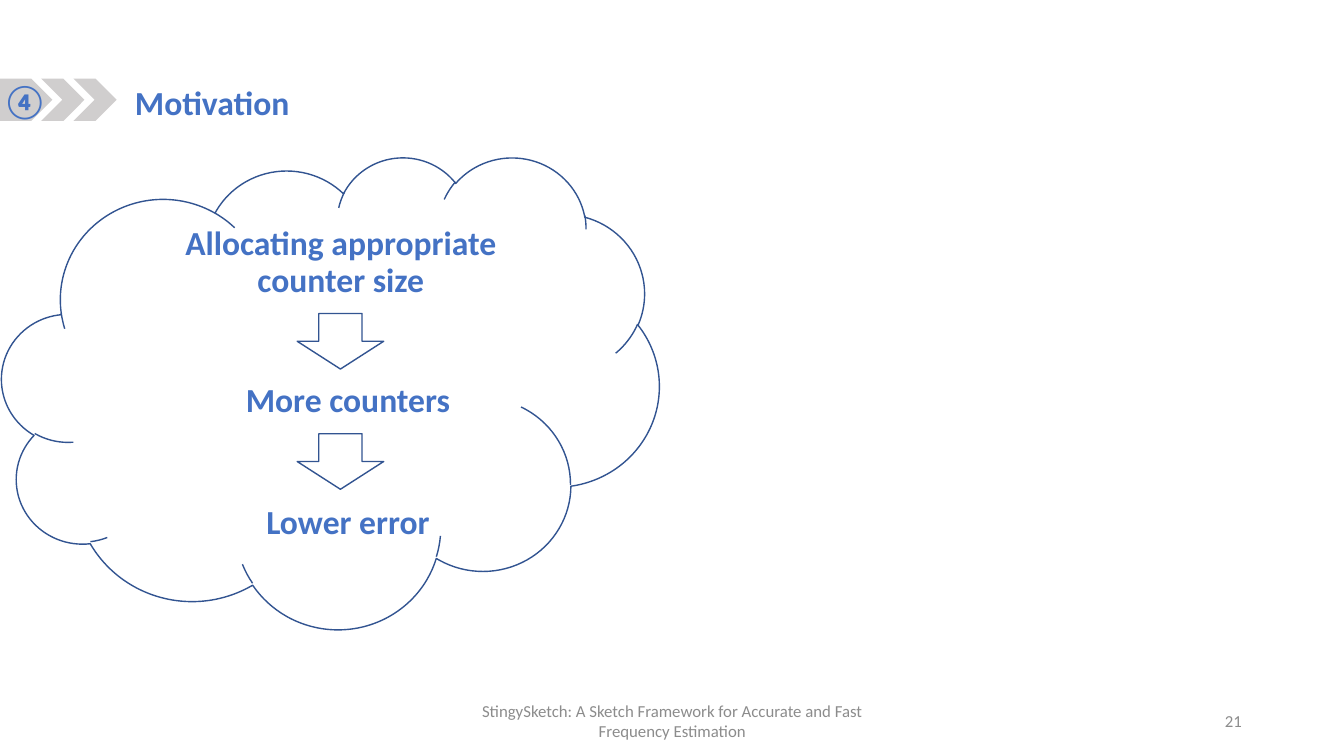
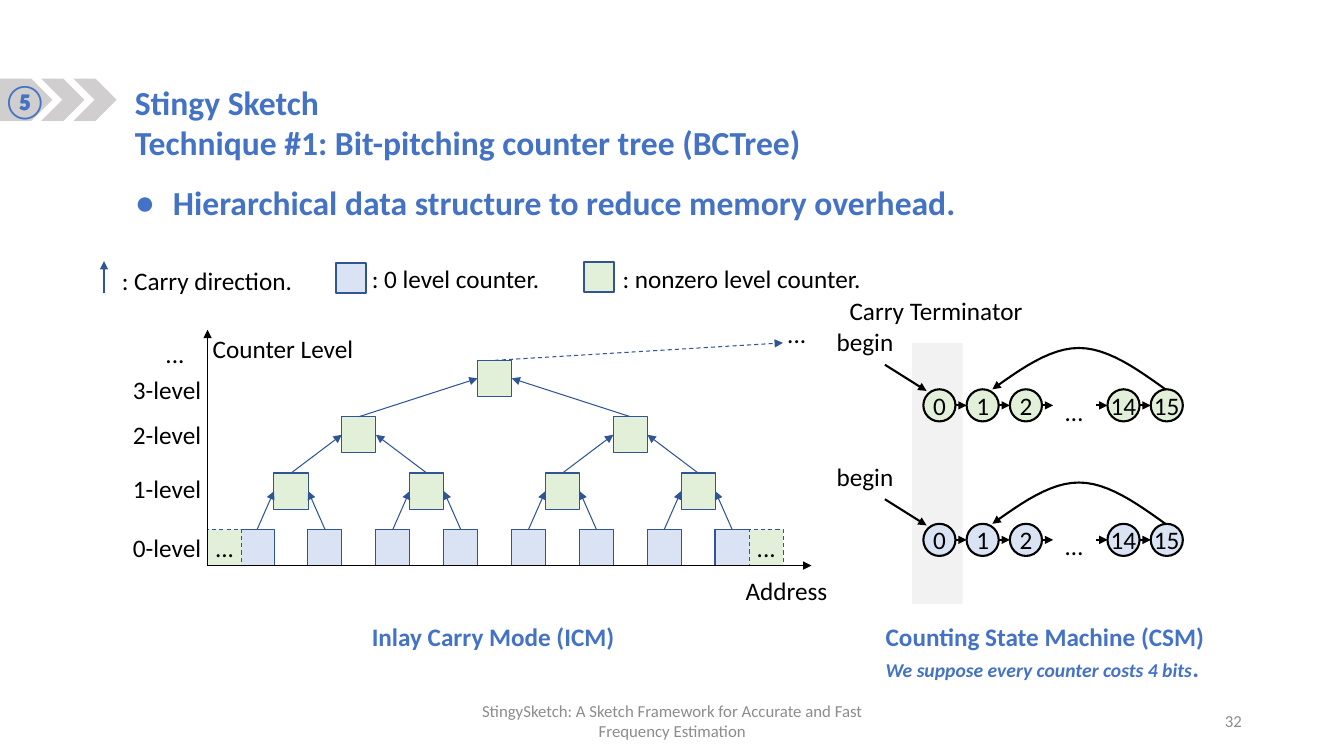
from dataclasses import dataclass, replace
from lxml import etree
from pptx import Presentation
from pptx.dml.color import RGBColor
from pptx.enum.dml import MSO_LINE
from pptx.enum.shapes import MSO_CONNECTOR, MSO_SHAPE
from pptx.enum.text import MSO_ANCHOR, PP_ALIGN
from pptx.oxml.ns import qn
from pptx.util import Cm, Pt


@dataclass(frozen=True)
class Style:
    size: float
    color: str
    bold: bool = False
    italic: bool = False


@dataclass(frozen=True)
class Theme:
    font: str = "Calibri"
    white: str = "FFFFFF"
    black: str = "000000"
    chevron: str = "D0CECE"
    band: str = "F2F2F2"
    outline: str = "325491"
    branch: str = "2F5597"
    leaf: str = "DAE3F3"
    node: str = "E2F0D9"
    heading: Style = Style(24, "4472C4", True)
    caption: Style = Style(18, "4472C4", True)
    remark: Style = Style(14, "4472C4", True, True)
    label: Style = Style(18, "000000")
    footer: Style = Style(12, "8C8C8C")


@dataclass(frozen=True)
class Box:
    x: float
    y: float
    w: float
    h: float

    def at(self, dx, dy, w, h):
        return Box(self.x + dx, self.y + dy, w, h)

    def lengths(self):
        return Cm(self.x), Cm(self.y), Cm(self.w), Cm(self.h)


T = Theme()
LEFT, CENTER, RIGHT = PP_ALIGN.LEFT, PP_ALIGN.CENTER, PP_ALIGN.RIGHT
LINE_H = 1.02
FOOTER_TEXT = "StingySketch: A Sketch Framework for Accurate and Fast Frequency Estimation"


# Drawing helpers
def add_run(paragraph, words, style):
    run = paragraph.add_run()
    run.text = words
    font = run.font
    font.name, font.size = T.font, Pt(style.size)
    font.bold, font.italic = style.bold, style.italic
    font.color.rgb = RGBColor.from_string(style.color)


def add_text(slide, box, *lines, style=T.label, align=LEFT, anchor=MSO_ANCHOR.TOP):
    frame = slide.shapes.add_textbox(*box.lengths()).text_frame
    frame.word_wrap = True
    frame.vertical_anchor = anchor
    for index, words in enumerate(lines):
        paragraph = frame.add_paragraph() if index else frame.paragraphs[0]
        paragraph.alignment = align
        add_run(paragraph, words, style)
    return frame


def style_line(line, color, width, dashed=False, arrow=False):
    line.color.rgb = RGBColor.from_string(color)
    line.width = Pt(width)
    if dashed:
        line.dash_style = MSO_LINE.DASH
    if arrow:
        ln = line.fill._xPr
        etree.SubElement(ln, qn("a:tailEnd"), type="triangle")


def add_shape(slide, kind, box, fill, line=None, width=1, dashed=False, words=None):
    shape = slide.shapes.add_shape(kind, *box.lengths())
    shape.shadow.inherit = False
    shape.fill.solid()
    shape.fill.fore_color.rgb = RGBColor.from_string(fill)
    if line:
        style_line(shape.line, line, width, dashed)
    else:
        shape.line.fill.background()
    if words:
        frame = shape.text_frame
        frame.margin_left = frame.margin_right = frame.margin_top = frame.margin_bottom = 0
        frame.word_wrap = False
        frame.vertical_anchor = MSO_ANCHOR.MIDDLE
        frame.paragraphs[0].alignment = CENTER
        add_run(frame.paragraphs[0], words, T.label)
    return shape


def add_arrow(slide, start, end, color, width, dashed=False):
    ends = [Cm(value) for value in (*start, *end)]
    arrow = slide.shapes.add_connector(MSO_CONNECTOR.STRAIGHT, *ends)
    style_line(arrow.line, color, width, dashed, arrow=True)
    etree.SubElement(arrow._element.spPr, qn("a:effectLst"))


def add_arc_arrow(slide, start, end, rise, steps=12):
    """Two mirrored cubic curves that meet level at the apex."""
    (x0, y0), (x1, y1) = start, end
    span = x1 - x0

    def half(t):
        along = 3 * t * (1 - t) ** 2 / 6 + 3 * t * t * (1 - t) / 3 + t ** 3 / 2
        up = 3 * t * (1 - t) ** 2 / 2 + 3 * t * t * (1 - t) + t ** 3
        return along, up

    first = [half(i / steps) for i in range(steps + 1)]
    second = [(1 - along, up) for along, up in reversed(first[:-1])]
    points = [(Cm(x0 + span * a), Cm(y0 + (y1 - y0) * a - rise * up)) for a, up in first + second]
    builder = slide.shapes.build_freeform(*points[0])
    builder.add_line_segments(points[1:], close=False)
    arc = builder.convert_to_shape()
    arc.shadow.inherit = False
    arc.fill.background()
    style_line(arc.line, T.black, 1.5, arrow=True)


# Parts shared by the slides
def add_header(slide, box, number, *title):
    add_shape(slide, MSO_SHAPE.PENTAGON, box.at(0, 0, 1.32, box.h), T.chevron)
    for dx in (1.04, 1.85):
        add_shape(slide, MSO_SHAPE.CHEVRON, box.at(dx, 0, 1.09, box.h), T.chevron)
    add_text(slide, box.at(3.15, -0.05, box.w - 3.15, 1.27), *title, style=T.heading)
    add_text(slide, box.at(-0.18, -0.08, 1.5, 1.27), number, style=T.heading)


def add_footer(slide, box, page):
    add_text(slide, box.at(0, 0, 11.43, box.h), FOOTER_TEXT, style=T.footer,
             align=CENTER, anchor=MSO_ANCHOR.MIDDLE)
    add_text(slide, box.at(box.w - 7.62, 0, 7.62, box.h), page, style=T.footer,
             align=RIGHT, anchor=MSO_ANCHOR.MIDDLE)


def add_frame(slide, number, page, *title):
    add_header(slide, Box(0, 1.98, 24, 1.07), number, *title)
    add_footer(slide, Box(11.23, 17.65, 20.32, LINE_H), page)


# Motivation: the chain of reasons in a cloud
def add_cloud(slide, box):
    add_shape(slide, MSO_SHAPE.CLOUD, box, T.white, T.outline)
    reasons = [("Allocating appropriate counter size", 3.61, 1.65),
               ("More counters", 3.79, 5.59), ("Lower error", 3.79, 8.66)]
    for words, dx, dy in reasons:
        frame = add_text(slide, box.at(dx, dy, 9.86, 3.73), words, style=T.heading, align=CENTER)
        frame.paragraphs[0].line_spacing = 0.9
        frame.paragraphs[0].space_before = Pt(10)
    for dy in (3.96, 6.99):
        add_shape(slide, MSO_SHAPE.DOWN_ARROW, box.at(7.44, dy, 2.18, 1.4), T.white, T.outline)


# BCTree: bullet, legend, tree and state machines
def add_bullet(slide, box, words):
    paragraph = add_text(slide, box, words, style=T.heading).paragraphs[0]
    properties = paragraph._p.get_or_add_pPr()
    properties.set("marL", str(Cm(0.96)))
    properties.set("indent", str(-Cm(0.96)))
    etree.SubElement(properties, qn("a:buFont"), typeface="Arial")
    etree.SubElement(properties, qn("a:buChar"), char="●")


def add_legend(slide, box):
    add_arrow(slide, (box.x, box.y + 0.86), (box.x, box.y + 0.05), T.branch, 1.5)
    add_text(slide, box.at(0.2, 0.02, 5.28, LINE_H), ": Carry direction.")
    entries = [(5.84, 0.1, T.leaf, 6.5, ": 0 level counter."),
               (12.09, 0.07, T.node, 12.82, ": nonzero level counter.")]
    for key_dx, key_dy, fill, text_dx, words in entries:
        add_shape(slide, MSO_SHAPE.RECTANGLE, box.at(key_dx, key_dy, 0.76, 0.76),
                  fill, T.outline, 1.5)
        add_text(slide, box.at(text_dx, -0.03, 7, LINE_H), words)


def add_tree(slide, box):
    cell_w, cell_h, pitch, rise = 0.86, 0.91, 1.71, 1.42
    ground = box.y + box.h

    def add_cell(left, top, fill, **look):
        add_shape(slide, MSO_SHAPE.RECTANGLE, Box(left, top, cell_w, cell_h),
                  fill, T.branch, 0.75, **look)

    # Each parent sits midway above its two children
    levels = [[box.x + 0.82 + pitch * i for i in range(8)]]
    while len(levels[-1]) > 1:
        row = levels[-1]
        levels.append([(a + b) / 2 for a, b in zip(row[::2], row[1::2])])
    tops = [ground - cell_h - rise * level for level in range(len(levels))]

    for level, (row, top) in enumerate(zip(levels, tops)):
        for left in row:
            add_cell(left, top, T.node if level else T.leaf)
    for left in (box.x, levels[0][-1] + cell_w):
        add_cell(left, tops[0], T.node, dashed=True, words="...")

    # Carries run from a child's top to the near side of its parent
    for level, row in enumerate(levels[:-1]):
        for index, left in enumerate(row):
            parent = levels[level + 1][index // 2] + (index % 2) * cell_w
            add_arrow(slide, (left + cell_w / 2, tops[level]),
                      (parent, tops[level + 1] + cell_h / 2), T.branch, 0.75)
    add_arrow(slide, (levels[-1][0] + cell_w / 2, tops[-1]),
              (box.x + 14.5, box.y + 0.33), T.branch, 0.75, dashed=True)
    add_text(slide, box.at(14.35, -0.41, 1, LINE_H), "...", align=CENTER)

    # Axes and their labels
    corner = (box.x, ground)
    add_arrow(slide, corner, (box.x, box.y), T.black, 1)
    add_arrow(slide, corner, (box.x + box.w, ground), T.black, 1)
    for level, dy in enumerate((4.97, 3.48, 2.13, 0.99)):
        add_text(slide, box.at(-2.27, dy, 2.5, LINE_H), f"{level}-level", align=CENTER)
    add_text(slide, box.at(-1.32, 0.1, 1, LINE_H), "...", align=CENTER)
    add_text(slide, box.at(-0.12, -0.03, 4.5, LINE_H), "Counter Level")
    add_text(slide, box.at(13.31, box.h + 0.13, 3, LINE_H), "Address")


def add_state_machine(slide, box, fill):
    size = box.h
    step = 1.09
    states = {"0": 0, "1": step, "2": 2 * step, "14": box.w - size - step, "15": box.w - size}
    for name, dx in states.items():
        add_shape(slide, MSO_SHAPE.OVAL, box.at(dx, 0, size, size), fill, T.black, 1.5, words=name)
    gap, middle = step - size, box.y + size / 2
    for dx in (size, step + size, 2 * step + size, states["14"] - gap, states["14"] + size):
        add_arrow(slide, (box.x + dx, middle), (box.x + dx + gap, middle), T.black, 1.5)
    add_text(slide, box.at(3.2, 0.04, 1.2, LINE_H), "…", align=CENTER)
    add_arc_arrow(slide, (box.x + 6.1, box.y), (box.x + 1.74, box.y), 1.04)
    add_text(slide, box.at(-2.57, -1.71, 2.2, LINE_H), "begin", align=CENTER)
    add_arrow(slide, (box.x - 0.97, box.y - 0.62), (box.x + 0.08, box.y + 0.04), T.black, 1.5)


def add_machines(slide, box):
    add_shape(slide, MSO_SHAPE.RECTANGLE, box.at(0, 0, 1.27, box.h), T.band)
    for dy, fill in ((1.17, T.node), (4.56, T.leaf)):
        add_state_machine(slide, box.at(0.28, dy, 6.54, 0.81), fill)
    add_text(slide, box.at(-1.95, -1.32, 5.1, LINE_H), "Carry Terminator", align=CENTER)


def add_captions(slide, box):
    add_text(slide, box.at(0, 0, 7.5, LINE_H), "Inlay Carry Mode (ICM)", style=T.caption)
    machine = add_text(slide, box.at(12.95, 0, 9.5, 1.8), "Counting State Machine (CSM)",
                       style=T.caption)
    remark = machine.add_paragraph()
    add_run(remark, "We suppose every counter costs 4 bits", T.remark)
    add_run(remark, ".", replace(T.remark, size=T.caption.size, italic=False))


# Slides
def build_motivation(slide):
    add_frame(slide, "④", "21", "Motivation")
    add_cloud(slide, Box(0.05, 3.94, 16.56, 11.89))


def build_bctree(slide):
    add_machines(slide, Box(22.99, 8.64, 8, 6.58))
    add_frame(slide, "⑤", "32", "Stingy Sketch",
              "Technique #1: Bit-pitching counter tree (BCTree)")
    add_bullet(slide, Box(3.15, 4.47, 23, 1.27),
               "Hierarchical data structure to reduce memory overhead.")
    add_legend(slide, Box(2.62, 6.53, 20, LINE_H))
    add_tree(slide, Box(5.23, 8.31, 15.22, 5.94))
    add_captions(slide, Box(9.12, 15.54, 22, 1.8))


deck = Presentation()
deck.slide_width, deck.slide_height = Cm(33.87), Cm(19.05)
for build in (build_motivation, build_bctree):
    build(deck.slides.add_slide(deck.slide_layouts[6]))
deck.save("out.pptx")
